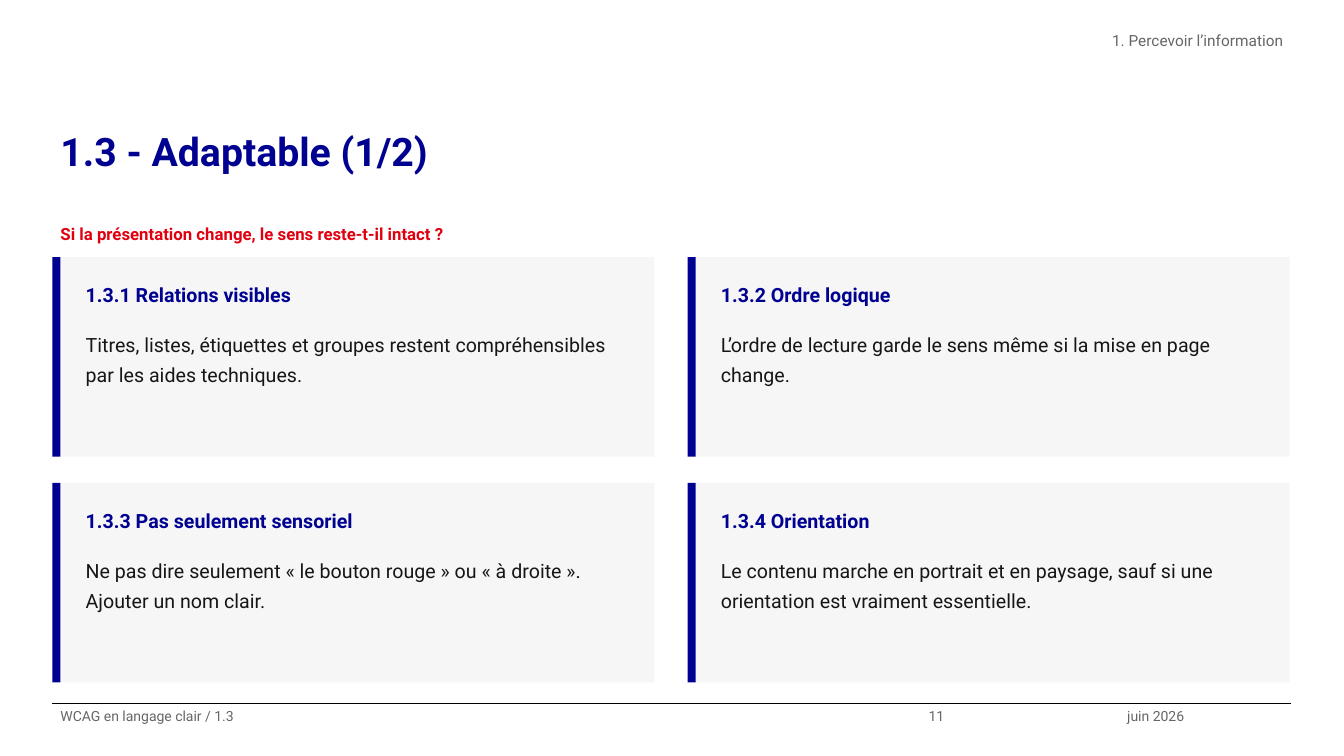
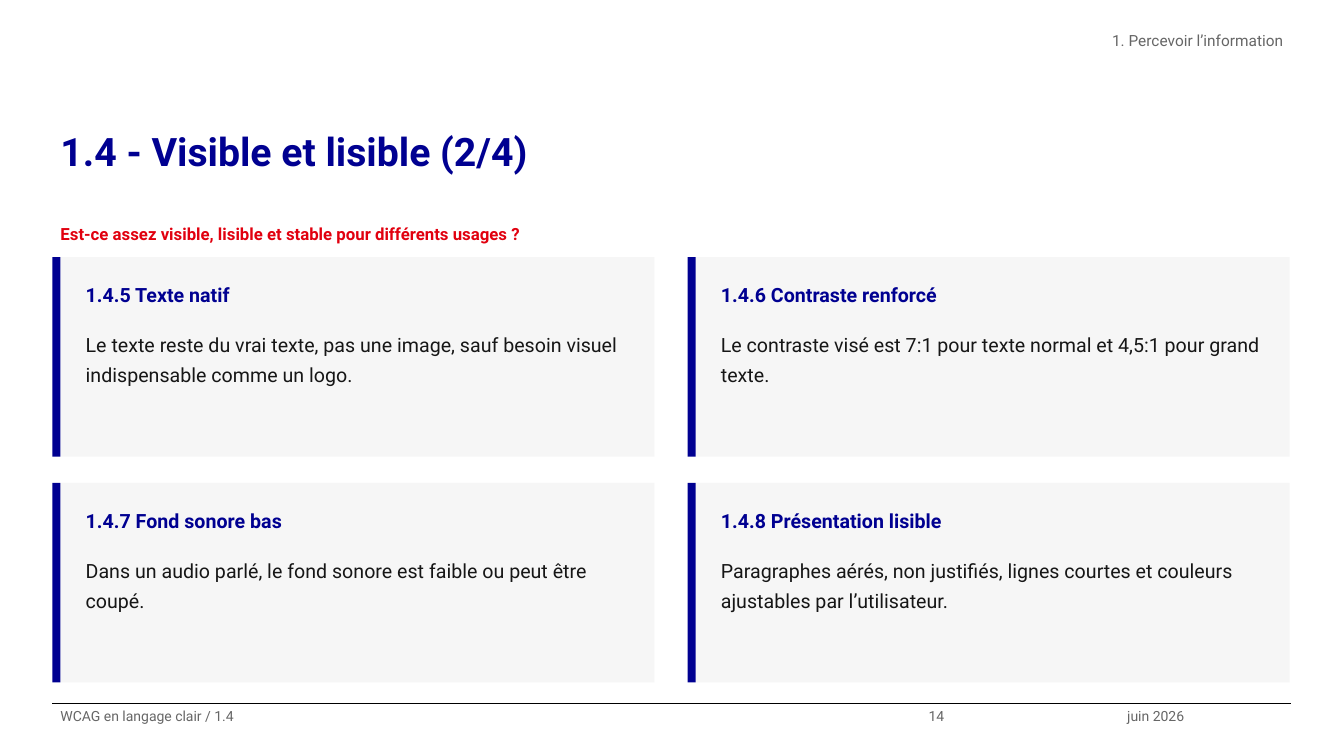
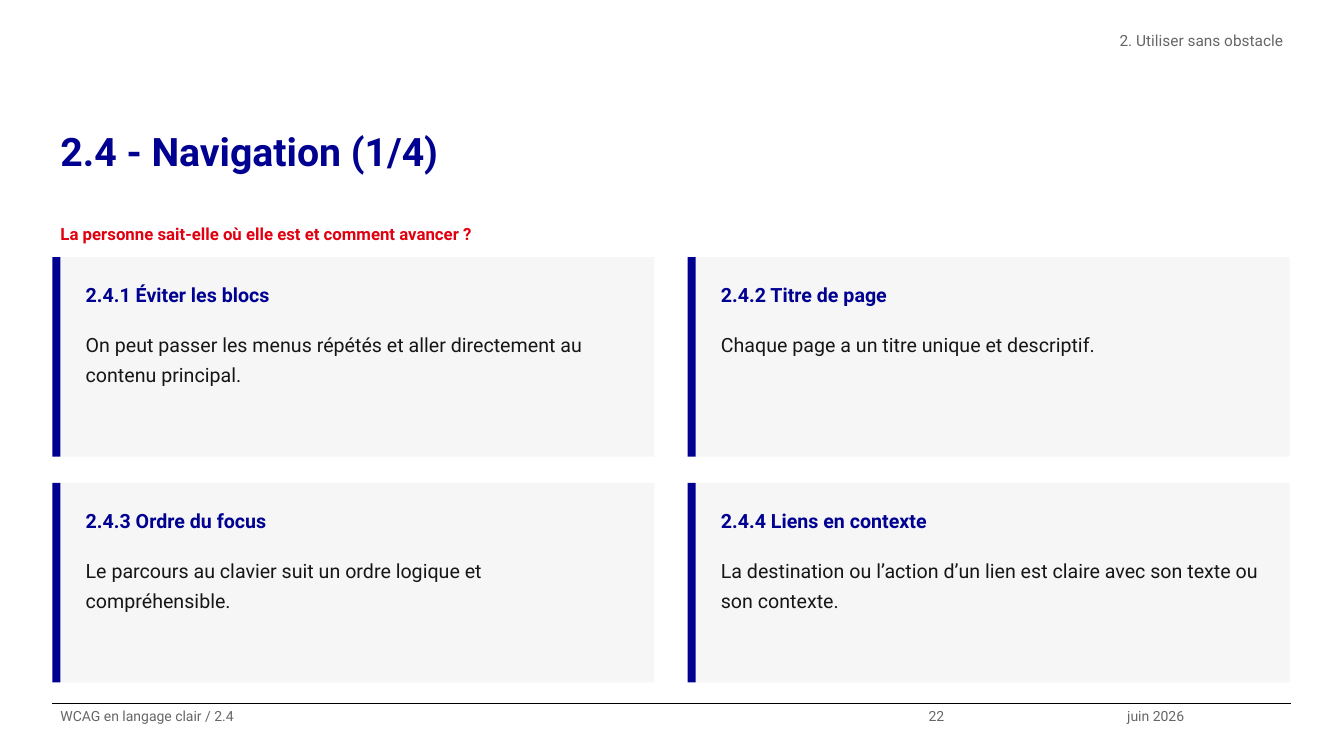
from dataclasses import dataclass

from lxml import etree
from pptx import Presentation
from pptx.dml.color import RGBColor
from pptx.enum import shapes, text
from pptx.oxml import ns
from pptx.util import Inches, Pt


@dataclass(frozen=True)
class Theme:
    font: str = "Roboto"
    blue: str = "000091"
    red: str = "E1000F"
    grey: str = "666666"
    ink: str = "161616"
    panel: str = "F6F6F6"
    rule: str = "000000"
    title: int = 28
    card: int = 14
    lead: int = 12
    head: int = 11
    foot: int = 10
    spacing: float = 1.25


T = Theme()
LEFT, WIDTH = 0.52, 12.28
FOOT = 6.98
TOP, COLS = 2.55, 2
STEP_X, STEP_Y = 6.3, 2.24
BAR, CARD_W, CARD_H = 0.08, 5.89, 1.98

DECK = [
    ("1. Percevoir l’information", "1.3", "Adaptable (1/2)", 11,
     "Si la présentation change, le sens reste-t-il intact ?",
     [("1.3.1 Relations visibles",
       "Titres, listes, étiquettes et groupes restent compréhensibles par les aides techniques."),
      ("1.3.2 Ordre logique",
       "L’ordre de lecture garde le sens même si la mise en page change."),
      ("1.3.3 Pas seulement sensoriel",
       "Ne pas dire seulement « le bouton rouge » ou « à droite ». Ajouter un nom clair."),
      ("1.3.4 Orientation",
       "Le contenu marche en portrait et en paysage, sauf si une orientation est vraiment essentielle.")]),
    ("1. Percevoir l’information", "1.4", "Visible et lisible (2/4)", 14,
     "Est-ce assez visible, lisible et stable pour différents usages ?",
     [("1.4.5 Texte natif",
       "Le texte reste du vrai texte, pas une image, sauf besoin visuel indispensable comme un logo."),
      ("1.4.6 Contraste renforcé",
       "Le contraste visé est 7:1 pour texte normal et 4,5:1 pour grand texte."),
      ("1.4.7 Fond sonore bas",
       "Dans un audio parlé, le fond sonore est faible ou peut être coupé."),
      ("1.4.8 Présentation lisible",
       "Paragraphes aérés, non justifiés, lignes courtes et couleurs ajustables par l’utilisateur.")]),
    ("2. Utiliser sans obstacle", "2.4", "Navigation (1/4)", 22,
     "La personne sait-elle où elle est et comment avancer ?",
     [("2.4.1 Éviter les blocs",
       "On peut passer les menus répétés et aller directement au contenu principal."),
      ("2.4.2 Titre de page",
       "Chaque page a un titre unique et descriptif."),
      ("2.4.3 Ordre du focus",
       "Le parcours au clavier suit un ordre logique et compréhensible."),
      ("2.4.4 Liens en contexte",
       "La destination ou l’action d’un lien est claire avec son texte ou son contexte.")]),
]


def write(shape, words, size, color, bold=False, align=text.PP_ALIGN.LEFT, pad=0.0):
    """Fill a shape with one paragraph in the house style."""
    frame = shape.text_frame
    frame.text = words
    frame.word_wrap = True
    frame.auto_size = text.MSO_AUTO_SIZE.NONE
    frame.vertical_anchor = text.MSO_ANCHOR.TOP
    frame.margin_left = frame.margin_right = Inches(0.08)
    frame.margin_top = frame.margin_bottom = Inches(pad)
    para = frame.paragraphs[0]
    para.alignment = align
    para.line_spacing = T.spacing
    para.space_before = Pt(0)
    font = para.font
    font.name, font.size, font.bold = T.font, Pt(size), bold
    font.color.rgb = RGBColor.from_string(color)


def label(slide, box, words, size, color, **style):
    write(slide.shapes.add_textbox(*map(Inches, box)), words, size, color, **style)


def block(slide, box, color):
    rect = slide.shapes.add_shape(shapes.MSO_SHAPE.RECTANGLE, *map(Inches, box))
    rect.shadow.inherit = False
    rect.fill.solid()
    rect.fill.fore_color.rgb = RGBColor.from_string(color)
    rect.line.fill.background()


def title(slide, words):
    shape = slide.shapes.title
    shape.left, shape.top = Inches(LEFT), Inches(1.15)
    shape.width, shape.height = Inches(WIDTH), Inches(1.05)
    write(shape, words, T.title, T.blue, bold=True)


def footer(slide, code, number):
    line = slide.shapes.add_connector(
        shapes.MSO_CONNECTOR.STRAIGHT,
        Inches(LEFT), Inches(FOOT), Inches(LEFT + WIDTH), Inches(FOOT))
    line.line.width = Pt(0.8)
    line.line.color.rgb = RGBColor.from_string(T.rule)
    etree.SubElement(line._element.spPr, ns.qn("a:effectLst"))
    for left, width, words in ((LEFT, 8.61, f"WCAG en langage clair / {code}"),
                               (9.13, 1.97, str(number)),
                               (11.1, 1.71, "juin 2026")):
        label(slide, (left, FOOT, width, 0.52), words, T.foot, T.grey)


def card(slide, index, name, body):
    row, col = divmod(index, COLS)
    x, y = LEFT + col * STEP_X, TOP + row * STEP_Y
    block(slide, (x + BAR, y, CARD_W, CARD_H), T.panel)
    block(slide, (x, y, BAR, CARD_H), T.blue)
    label(slide, (x + 0.25, y + 0.15, 5.57, 0.45), name, T.card, T.blue, bold=True, pad=0.05)
    label(slide, (x + 0.25, y + 0.65, 5.57, 1.18), body, T.card, T.ink, pad=0.05)


def main():
    deck = Presentation()
    deck.slide_width, deck.slide_height = Inches(13.33), Inches(7.5)
    layout = deck.slide_layouts.get_by_name("Title Only")
    for part, code, name, number, lead, cards in DECK:
        slide = deck.slides.add_slide(layout)
        title(slide, f"{code} - {name}")
        label(slide, (4.83, 0.26, 7.98, 0.52), part, T.head, T.grey,
              align=text.PP_ALIGN.RIGHT)
        label(slide, (LEFT, 2.12, WIDTH, 0.28), lead, T.lead, T.red, bold=True, pad=0.05)
        for index, (head, body) in enumerate(cards):
            card(slide, index, head, body)
        footer(slide, code, number)
    deck.save("out.pptx")


if __name__ == "__main__":
    main()
